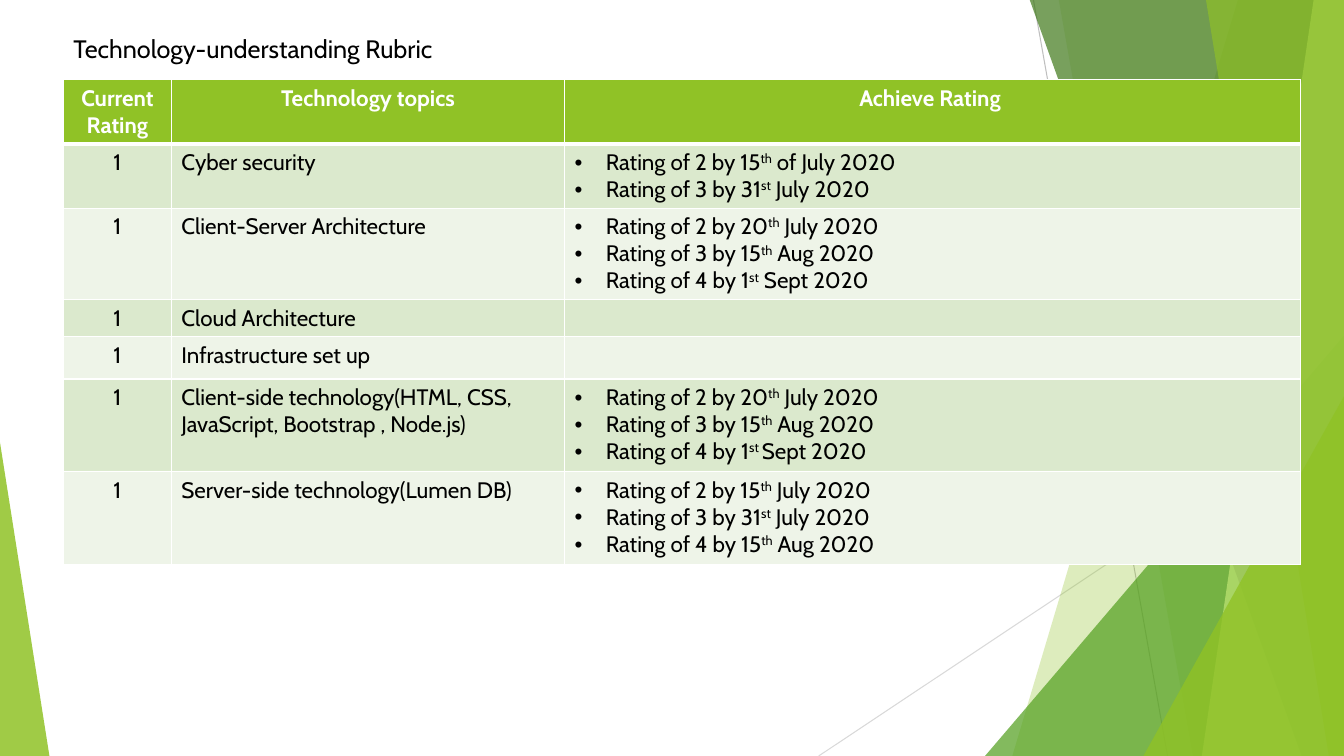
import pptx
import pptx.dml.color
import pptx.enum.shapes
import pptx.enum.text
import pptx.oxml
import pptx.oxml.ns
import pptx.util
from dataclasses import dataclass

Inches = pptx.util.Inches
Pt = pptx.util.Pt
Align = pptx.enum.text.PP_ALIGN


@dataclass(frozen=True)
class Theme:
    font: str = "Cabin"
    title_size: int = 18
    table_size: int = 16
    ink: str = "000000"
    white: str = "FFFFFF"
    lime: str = "90C226"
    pale_lime: str = "C0E474"
    green: str = "54A021"
    forest: str = "3F7819"
    band_dark: str = "DBE9CD"
    band_light: str = "EEF4E8"


THEME = Theme()

# Column widths and row heights in inches
COLUMNS = [1.07, 3.9, 7.3]
ROWS = [0.54, 0.54, 0.37, 0.31, 0.42, 0.92, 0.92]
HEADINGS = ["Current Rating", "Technology topics", "Achieve Rating "]

# Topic and its targets; text between carets is superscript
TOPICS = [
    ("Cyber security",
     ["2 by 15^th^ of July 2020", "3 by 31^st^ July 2020"]),
    ("Client-Server Architecture",
     ["2 by 20^th^ July 2020", "3 by 15^th^ Aug 2020", "4 by 1^st^ Sept 2020"]),
    ("Cloud Architecture", []),
    ("Infrastructure set up", []),
    ("Client-side technology(HTML, CSS, JavaScript, Bootstrap , Node.js)",
     ["2 by 20^th^ July 2020", "3 by 15^th^ Aug 2020", "4 by 1^st ^Sept 2020"]),
    ("Server-side technology(Lumen DB)",
     ["2 by 15^th^ July 2020", "3 by 31^st^ July 2020", "4 by 15^th^ Aug 2020"]),
]


def rgb(color):
    return pptx.dml.color.RGBColor.from_string(color)


def add_xml(parent, tag, **attributes):
    child = pptx.oxml.parse_xml(f"<{tag} {pptx.oxml.ns.nsdecls('a')}/>")
    for name, value in attributes.items():
        child.set(name, str(value))
    parent.append(child)
    return child


# Decoration
def paint(shape, color, opacity):
    shape.shadow.inherit = False
    shape.line.fill.background()
    shape.fill.solid()
    shape.fill.fore_color.rgb = rgb(color)
    swatch = shape._element.spPr.find(".//" + pptx.oxml.ns.qn("a:srgbClr"))
    add_xml(swatch, "a:alpha", val=opacity * 1000)


def add_line(page, start, end, color):
    line = page.shapes.add_connector(
        pptx.enum.shapes.MSO_CONNECTOR.STRAIGHT, *map(Inches, start + end))
    line.line.color.rgb = rgb(color)
    line.line.width = Pt(0.75)
    add_xml(line._element.spPr, "a:effectLst")


def add_edge_panel(page, top_x, bottom_x, color, opacity):
    """Panel that runs from a slanted left side to the slide's right edge."""
    top, right, bottom = -0.01, 13.33, 7.5
    corners = [(top_x, top), (right, top), (right, bottom), (bottom_x, bottom)]
    points = [(Inches(x), Inches(y)) for x, y in corners]
    builder = page.shapes.build_freeform(*points[0])
    builder.add_line_segments(points[1:], close=True)
    paint(builder.convert_to_shape(), color, opacity)


def add_triangle(page, left, top, width, apex, color, opacity):
    """Triangle standing on the bottom of the slide."""
    triangle = page.shapes.add_shape(
        pptx.enum.shapes.MSO_SHAPE.ISOSCELES_TRIANGLE,
        Inches(left), Inches(top), Inches(width), Inches(7.5 - top))
    triangle.adjustments[0] = apex
    paint(triangle, color, opacity)


def add_decoration(page):
    add_line(page, (10.25, 0), (11.58, 7.5), "BFBFBF")
    add_line(page, (13.33, 4.03), (8.12, 7.5), "D9D9D9")
    add_edge_panel(page, 12.28, 10.04, THEME.lime, 30)
    add_edge_panel(page, 10.5, 11.83, THEME.lime, 20)
    add_triangle(page, 9.77, 3.33, 3.56, 1, THEME.green, 72)
    add_edge_panel(page, 10.21, 12.91, THEME.forest, 70)
    add_edge_panel(page, 13.03, 11.92, THEME.pale_lime, 70)
    add_edge_panel(page, 11.96, 13.18, THEME.lime, 65)
    add_triangle(page, 11.34, 3.93, 1.99, 1, THEME.lime, 80)
    add_triangle(page, 0, 4.39, 0.49, 0, THEME.lime, 85)


# Text
def write(para, text, size, color=THEME.ink, bold=False):
    for index, piece in enumerate(text.split("^")):
        span = para.add_run()
        span.text = piece
        span.font.name = THEME.font
        span.font.size = Pt(size)
        span.font.bold = bold
        span.font.color.rgb = rgb(color)
        if index % 2:
            span._r.get_or_add_rPr().set("baseline", "30000")


def add_bullet(para):
    indent = Inches(0.31)
    properties = para._p.get_or_add_pPr()
    properties.set("marL", str(indent))
    properties.set("indent", str(-indent))
    add_xml(properties, "a:buFont", typeface="Arial")
    add_xml(properties, "a:buChar", char="•")


def add_title(page, text):
    box = page.shapes.add_textbox(
        Inches(0.63), Inches(0.28), Inches(7.13), Inches(0.4))
    box.text_frame.word_wrap = True
    box.text_frame.auto_size = pptx.enum.text.MSO_AUTO_SIZE.SHAPE_TO_FIT_TEXT
    write(box.text_frame.paragraphs[0], text, THEME.title_size)


# Table
def style_cell(cell, fill, top=1, bottom=1):
    properties = cell._tc.get_or_add_tcPr()
    for side, width in zip("LRTB", (1, 1, top, bottom)):
        border = add_xml(properties, f"a:ln{side}", w=Pt(width))
        add_xml(add_xml(border, "a:solidFill"), "a:srgbClr", val=THEME.white)
    cell.fill.solid()
    cell.fill.fore_color.rgb = rgb(fill)


def fill_targets(cell, targets):
    frame = cell.text_frame
    if not targets:
        end = add_xml(frame.paragraphs[0]._p, "a:endParaRPr",
                      sz=THEME.table_size * 100)
        add_xml(end, "a:latin", typeface=THEME.font)
    for index, target in enumerate(targets):
        para = frame.add_paragraph() if index else frame.paragraphs[0]
        add_bullet(para)
        write(para, "Rating of " + target, THEME.table_size)


def add_rubric(page):
    table = page.shapes.add_table(
        len(ROWS), len(COLUMNS), Inches(0.63), Inches(0.79),
        Inches(sum(COLUMNS)), Inches(sum(ROWS))).table
    for column, width in zip(table.columns, COLUMNS):
        column.width = Inches(width)
    for row, height in zip(table.rows, ROWS):
        row.height = Inches(height)

    for cell, heading in zip(table.rows[0].cells, HEADINGS):
        style_cell(cell, THEME.lime, bottom=3)
        para = cell.text_frame.paragraphs[0]
        para.alignment = Align.CENTER
        write(para, heading, THEME.table_size, THEME.white, bold=True)

    for number, (topic, targets) in enumerate(TOPICS, start=1):
        rating, name, goals = table.rows[number].cells
        band = THEME.band_dark if number % 2 else THEME.band_light
        for cell in (rating, name, goals):
            style_cell(cell, band, top=3 if number == 1 else 1)
        rating.text_frame.paragraphs[0].alignment = Align.CENTER
        write(rating.text_frame.paragraphs[0], "1", THEME.table_size)
        write(name.text_frame.paragraphs[0], topic, THEME.table_size)
        fill_targets(goals, targets)


def main():
    deck = pptx.Presentation()
    deck.slide_width, deck.slide_height = Inches(13.33), Inches(7.5)
    page = deck.slides.add_slide(deck.slide_layouts[6])
    add_decoration(page)
    add_rubric(page)
    add_title(page, "Technology-understanding Rubric ")
    deck.save("out.pptx")


main()
